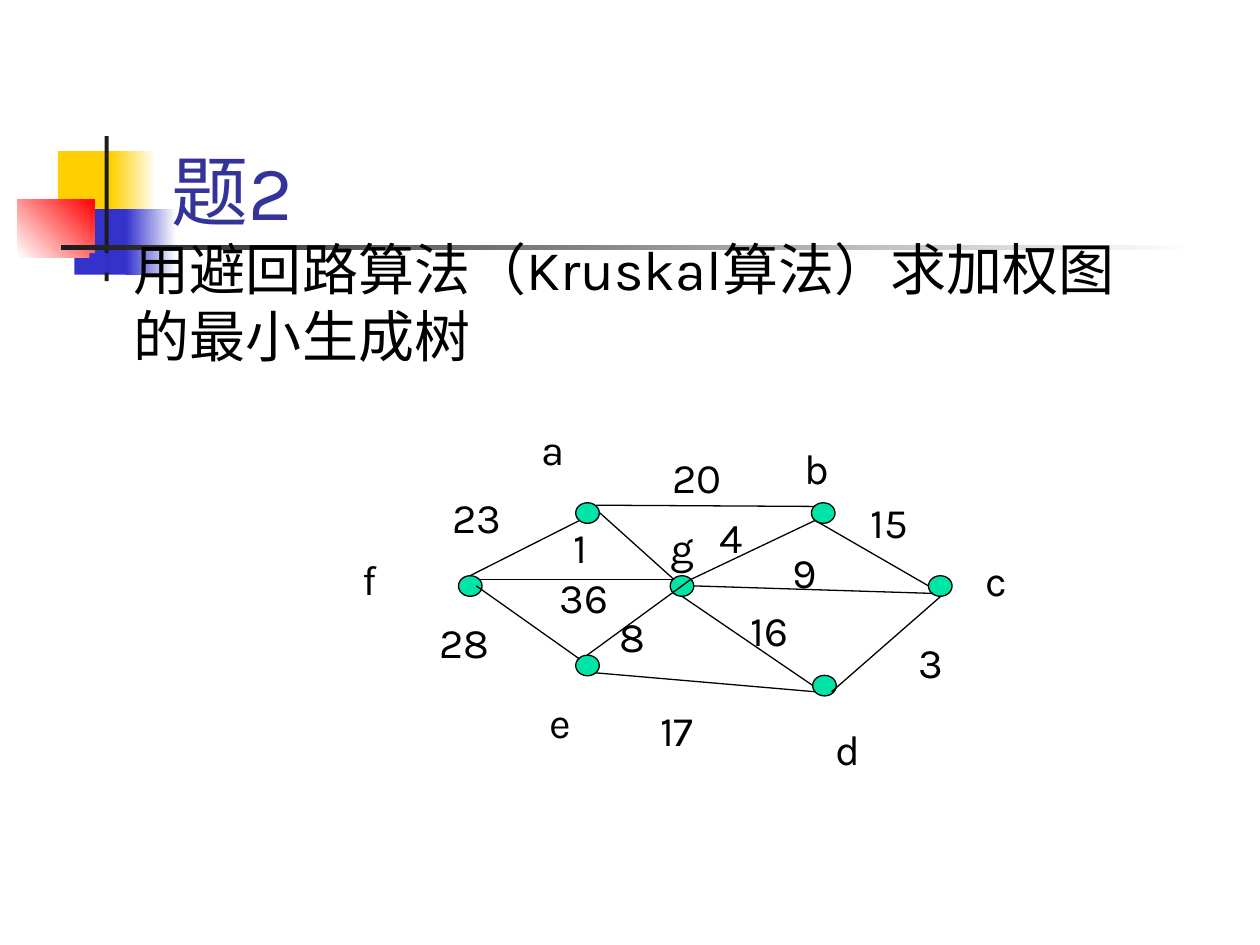
from typing import NamedTuple

from lxml import etree
from pptx import Presentation
from pptx.dml.color import RGBColor
from pptx.enum.shapes import MSO_CONNECTOR, MSO_SHAPE
from pptx.enum.text import MSO_ANCHOR
from pptx.oxml.ns import qn
from pptx.util import Pt

RECTANGLE, OVAL = MSO_SHAPE.RECTANGLE, MSO_SHAPE.OVAL
STRAIGHT = MSO_CONNECTOR.STRAIGHT
TOP, BOTTOM = MSO_ANCHOR.TOP, MSO_ANCHOR.BOTTOM

WHITE = RGBColor(0xFF, 0xFF, 0xFF)
BLACK = RGBColor(0x00, 0x00, 0x00)
YELLOW = RGBColor(0xFF, 0xCF, 0x01)
BLUE = RGBColor(0x33, 0x33, 0xCC)
RED = RGBColor(0xFF, 0x00, 0x00)
CHARCOAL = RGBColor(0x1C, 0x1C, 0x1C)
TITLE_BLUE = RGBColor(0x33, 0x33, 0x99)
GREEN = RGBColor(0x00, 0xE4, 0xA8)

FONT = "Karla"
NODE_SIZE = (13.5, 11.75)
LABEL_SIZE = (54, 36)
LINE_WIDTH = 0.75


class Block(NamedTuple):
    box: tuple[float, float, float, float]
    start: RGBColor
    end: RGBColor
    angle: float = 0


class Node(NamedTuple):
    name: str
    corner: tuple[float, float]
    label_at: tuple[float, float]


class Edge(NamedTuple):
    weight: int
    start: tuple[float, float]
    end: tuple[float, float]
    label_at: tuple[float, float]


BLOCKS = [
    Block((33.1, 86.4, 34.6, 37.4), YELLOW, YELLOW),
    Block((63.4, 86.4, 25.9, 37.4), YELLOW, WHITE),
    Block((42.5, 119.5, 33.1, 37.4), BLUE, BLUE),
    Block((72, 119.5, 28.8, 37.4), BLUE, WHITE),
    Block((10.1, 113.8, 43.9, 33.1), WHITE, RED, 45),
    Block((59.8, 77.8, 2.3, 82.8), CHARCOAL, CHARCOAL),
    Block((34.6, 140.2, 648, 2.4), CHARCOAL, WHITE),
]

NODES = [
    Node("a", (329, 287.3), (302.4, 238.3)),
    Node("b", (463.7, 287.3), (452.9, 249.1)),
    Node("c", (530.6, 329), (555.8, 313.2)),
    Node("d", (464.4, 385.9), (470.2, 409.7)),
    Node("e", (329, 374.4), (306.7, 394.6)),
    Node("f", (262, 329), (200.2, 312.5)),
    Node("g", (383, 329), (375.8, 294.5)),
]

EDGES = [
    Edge(23, (268.6, 329), (331.2, 297.4), (251.3, 277.2)),
    Edge(28, (272.2, 334.8), (331.2, 376.6), (244.1, 348.5)),
    Edge(1, (342.7, 293), (385.2, 331.2), (320.4, 294.5)),
    Edge(8, (335.5, 374.4), (394.6, 331.2), (347, 345.6)),
    Edge(36, (273.6, 331.2), (385.2, 331.2), (312.5, 323.3)),
    Edge(20, (340.6, 288.7), (465.8, 289.4), (377.3, 254.2)),
    Edge(4, (394.6, 331.2), (465.8, 297.4), (403.9, 288.7)),
    Edge(15, (465.8, 297.4), (530.6, 334.8), (490.3, 280.1)),
    Edge(3, (475.2, 395.3), (537.8, 340.6), (517.7, 360)),
    Edge(16, (389.5, 340.6), (464.4, 391.7), (421.9, 342)),
    Edge(9, (396.7, 334.8), (532.8, 339.1), (445.7, 308.9)),
    Edge(17, (340.6, 384.5), (465.8, 395.3), (370.1, 398.9)),
]


def draw_block(slide, block: Block) -> None:
    rect = slide.shapes.add_shape(RECTANGLE, *map(Pt, block.box))
    rect.shadow.inherit = False
    rect.line.fill.background()
    if block.start == block.end:
        rect.fill.solid()
        rect.fill.fore_color.rgb = block.start
        return
    rect.fill.gradient()
    rect.fill.gradient_angle = block.angle
    for stop, color in zip(rect.fill.gradient_stops, (block.start, block.end)):
        stop.color.rgb = color


def draw_text(slide, text: str, box: tuple[float, ...], size: float,
              color: RGBColor = BLACK, anchor=TOP, bulleted: bool = False) -> None:
    frame = slide.shapes.add_textbox(*map(Pt, box)).text_frame
    frame.word_wrap = True
    frame.vertical_anchor = anchor
    paragraph = frame.paragraphs[0]
    paragraph.text = text
    if bulleted:
        add_square_bullet(paragraph)
    paragraph.font.name = FONT
    paragraph.font.size = Pt(size)
    paragraph.font.color.rgb = color


def add_square_bullet(paragraph) -> None:
    properties = paragraph._p.get_or_add_pPr()
    properties.set("marL", str(Pt(27)))
    properties.set("indent", str(Pt(-27)))
    bullet_color = etree.SubElement(properties, qn("a:buClr"))
    etree.SubElement(bullet_color, qn("a:srgbClr"), val=str(BLUE))
    etree.SubElement(properties, qn("a:buSzPct"), val="60000")
    etree.SubElement(properties, qn("a:buChar"), char="■")


def draw_node(slide, node: Node) -> None:
    dot = slide.shapes.add_shape(OVAL, *map(Pt, node.corner + NODE_SIZE))
    dot.shadow.inherit = False
    dot.fill.solid()
    dot.fill.fore_color.rgb = GREEN
    dot.line.color.rgb = BLACK
    dot.line.width = Pt(LINE_WIDTH)


def draw_edge(slide, edge: Edge) -> None:
    line = slide.shapes.add_connector(STRAIGHT, *map(Pt, edge.start + edge.end))
    line.line.color.rgb = BLACK
    line.line.width = Pt(LINE_WIDTH)
    etree.SubElement(line._element.spPr, qn("a:effectLst"))


def main() -> None:
    deck = Presentation()
    deck.slide_width, deck.slide_height = Pt(720), Pt(540)
    slide = deck.slides.add_slide(deck.slide_layouts[6])

    # Corner decoration
    for block in BLOCKS:
        draw_block(slide, block)

    # Title and problem statement
    draw_text(slide, "题2", (90.7, 48.2, 613.4, 90), 44, TITLE_BLUE, BOTTOM)
    draw_text(slide, "用避回路算法（Kruskal算法）求加权图的最小生成树",
              (42.5, 130.3, 612, 108.7), 32, bulleted=True)

    # Weighted graph: nodes, edges, then their labels
    for node in NODES:
        draw_node(slide, node)
    for edge in EDGES:
        draw_edge(slide, edge)
    for node in NODES:
        draw_text(slide, node.name, node.label_at + LABEL_SIZE, 24)
    for edge in EDGES:
        draw_text(slide, str(edge.weight), edge.label_at + LABEL_SIZE, 24)

    deck.save("out.pptx")


if __name__ == "__main__":
    main()
